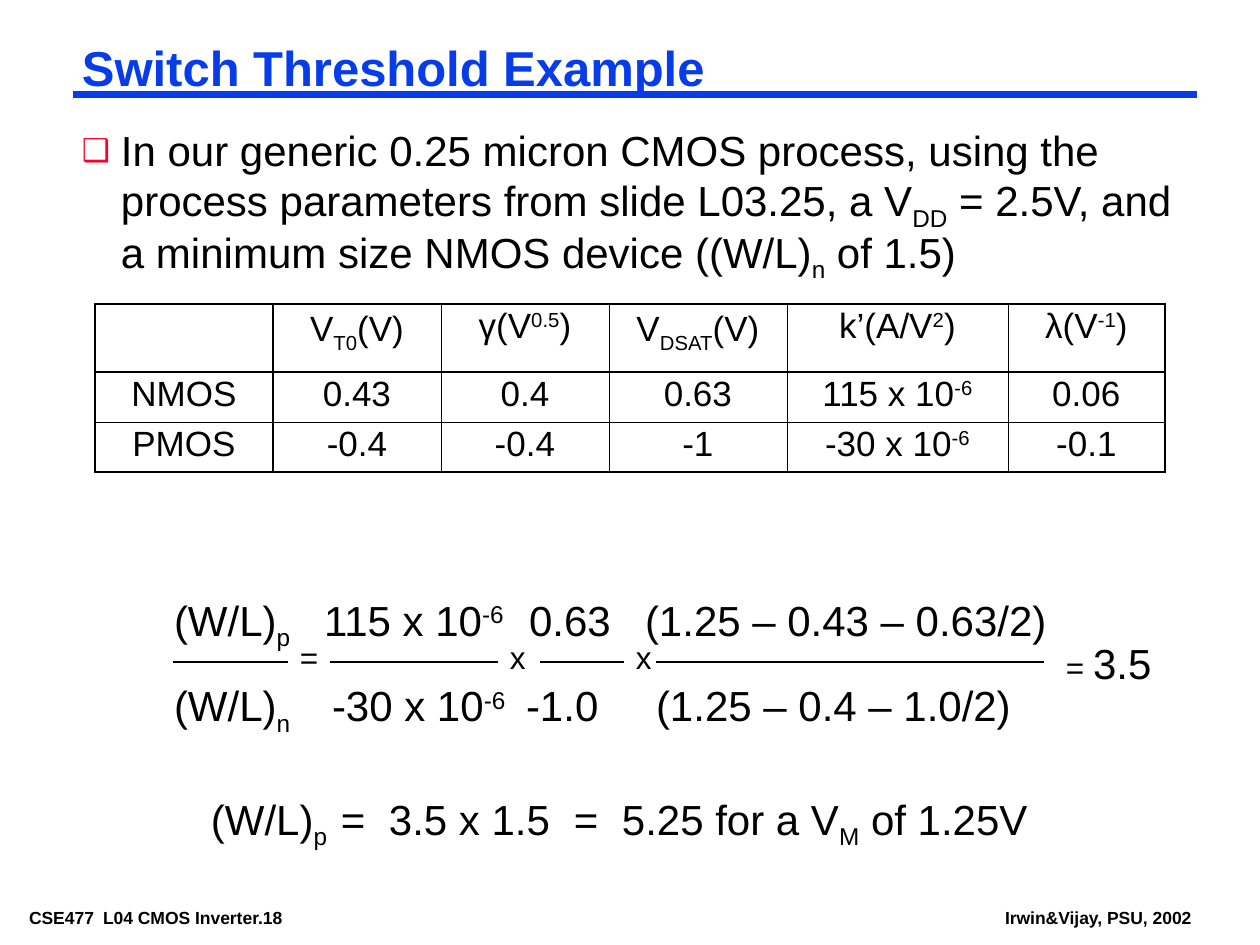
from lxml.etree import SubElement
from pptx import Presentation
from pptx.dml.color import RGBColor
from pptx.enum.shapes import MSO_CONNECTOR as LINE
from pptx.enum.text import MSO_ANCHOR as ANCHOR, MSO_AUTO_SIZE as AUTO, PP_ALIGN as ALIGN
from pptx.oxml.ns import qn
from pptx.util import Emu, Pt

FONT = "Arial"
HUE = {"ink": "000000", "blue": "063DE8", "red": "FC0128"}


def px(n):
    return Emu(round(n * 914400 / 126))


def sub(text):
    return text, -25


def sup(text):
    return text, 30


# Content: a line is a list of runs
TITLE = ["Switch Threshold Example"]
BODY = [
    "In our generic 0.25 micron CMOS process, using the process parameters from slide L03.25, a V",
    sub("DD"), " = 2.5V, and a minimum size NMOS device ((W/L)", sub("n"), " of 1.5)",
]
COLS = [178, 168, 168, 178, 221, 157]
ROWS = [68, 50, 50]
GRID = [
    [[], ["V", sub("T0"), "(V)"], ["γ(V", sup("0.5"), ")"],
     ["V", sub("DSAT"), "(V)"], ["k’(A/V", sup("2"), ")"], ["λ(V", sup("-1"), ")"]],
    [["NMOS"], ["0.43"], ["0.4"], ["0.63"], ["115 x 10", sup("-6")], ["0.06"]],
    [["PMOS"], ["-0.4"], ["-0.4"], ["-1"], ["-30 x 10", sup("-6")], ["-0.1"]],
]
RATIO = [
    (["(W/L)", sub("p"), "\t115 x 10", sup("-6"), "\t0.63\t(1.25 – 0.43 – 0.63/2)"],
     [150, 355, 471]),
    (["(W/L)", sub("n"), "\t-30 x 10", sup("-6"), "\t-1.0\t(1.25 – 0.4 – 1.0/2)"],
     [158, 352, 482]),
]
BARS = [(173, 288), (330, 498), (540, 624), (656, 1044)]
SIGNS = [(300, ["="]), (510, ["x"]), (636, ["x"]), (1066, ["= ", ("3.5", 0, 24)])]
RESULT = (["(W/L)", sub("p"), "\t=\t3.5 x 1.5\t=\t5.25 for a V", sub("M"), " of 1.25V"],
          [130, 178, 363, 411])
FOOT = [(29, 320, (["CSE477\tL04 CMOS Inverter.18"], [74])),
        (1005, 220, (["Irwin&Vijay, PSU, 2002"], []))]


def write(para, runs, size, hue="ink", bold=False):
    for item in runs:
        text, base, pts = ((item,) if isinstance(item, str) else item + (size,) * (3 - len(item))) \
            if not isinstance(item, str) else (item, 0, size)
        run = para.add_run()
        run.text = text
        font = run.font
        font.name, font.size, font.bold = FONT, Pt(pts), bold
        font.color.rgb = RGBColor.from_string(HUE[hue])
        if base:
            run._r.get_or_add_rPr().set("baseline", str(base * 1000))


def set_tabs(para, stops):
    if stops:
        tabs = SubElement(para._p.get_or_add_pPr(), qn("a:tabLst"))
        for stop in stops:
            SubElement(tabs, qn("a:tab"), pos=str(px(stop)), algn="l")


def set_bullet(para, mark, inset):
    props = para._p.get_or_add_pPr()
    props.set("marL", str(px(inset)))
    props.set("indent", str(-px(inset)))
    SubElement(SubElement(props, qn("a:buClr")), qn("a:srgbClr"), val=HUE["red"])
    SubElement(props, qn("a:buSzPct"), val="75000")
    SubElement(props, qn("a:buFont"), typeface=FONT)
    SubElement(props, qn("a:buChar"), char=mark)


def set_frame(frame, side=0, top=0):
    frame.word_wrap, frame.auto_size = True, AUTO.NONE
    frame.vertical_anchor = ANCHOR.TOP
    frame.margin_left = frame.margin_right = px(side)
    frame.margin_top = frame.margin_bottom = px(top)


def add_text(slide, box, lines, size, bold=False, pitch=None):
    frame = slide.shapes.add_textbox(*map(px, box)).text_frame
    set_frame(frame)
    for i, (runs, stops) in enumerate(lines):
        para = frame.add_paragraph() if i else frame.paragraphs[0]
        set_tabs(para, stops)
        para.line_spacing = pitch
        if i:
            para.space_before = Pt(19.5)
        write(para, runs, size, bold=bold)


def add_line(slide, left, right, y, width, hue):
    line = slide.shapes.add_connector(LINE.STRAIGHT, px(left), px(y), px(right), px(y))
    line.line.color.rgb = RGBColor.from_string(HUE[hue])
    line.line.width = Pt(width)
    SubElement(line._element.spPr, qn("a:effectLst"))


def fill_holder(shape, box, runs, size, pitch, hue="ink", bold=False, mark=None):
    shape.left, shape.top, shape.width, shape.height = map(px, box)
    set_frame(shape.text_frame, 9, 4)
    para = shape.text_frame.paragraphs[0]
    if mark:
        set_bullet(para, mark, 39)
    para.alignment, para.line_spacing, para.space_before = ALIGN.LEFT, pitch, Pt(0)
    write(para, runs, size, hue, bold)


def set_edges(cell, widths):
    props = cell._tc.get_or_add_tcPr()
    for i, (side, width) in enumerate(zip(("lnL", "lnR", "lnT", "lnB"), widths)):
        edge = props.makeelement(qn("a:" + side), {"w": str(Pt(width))})
        SubElement(SubElement(edge, qn("a:solidFill")), qn("a:srgbClr"), val=HUE["ink"])
        props.insert(i, edge)


def add_grid(slide):
    shape = slide.shapes.add_table(len(ROWS), len(COLS), px(95), px(304),
                                   px(sum(COLS)), px(sum(ROWS)))
    table = shape.table
    table.first_row = table.horz_banding = False
    for col, width in zip(table.columns, COLS):
        col.width = px(width)
    for row, height in zip(table.rows, ROWS):
        row.height = px(height)

    # Heavy rules run round the table and beside the headings
    def rule(i, count):
        return 1.08 if i in (0, 1, count) else 0.45

    for r, line in enumerate(GRID):
        for c, runs in enumerate(line):
            cell = table.cell(r, c)
            cell.fill.background()
            set_edges(cell, [rule(c, len(COLS)), rule(c + 1, len(COLS)),
                             rule(r, len(ROWS)), rule(r + 1, len(ROWS))])
            para = cell.text_frame.paragraphs[0]
            para.alignment, para.line_spacing = ALIGN.CENTER, 0.9
            write(para, runs, 20)


def main():
    deck = Presentation()
    deck.slide_width, deck.slide_height = px(1260), px(945)
    slide = deck.slides.add_slide(deck.slide_layouts[1])

    # Footer and title rule
    for left, width, line in FOOT:
        add_text(slide, (left, 907, width, 22), [line], 10, bold=True)
    add_line(slide, 73, 1197, 94.5, 4.5, "blue")

    # Title and body
    title, body = slide.placeholders
    fill_holder(title, (73, 42, 1124, 58), TITLE, 28, 0.87, "blue", True)
    fill_holder(body, (73, 126, 1124, 156), BODY, 24, 0.9, mark="❑")

    add_grid(slide)

    # Ratio equation
    add_text(slide, (174, 595, 900, 140), RATIO, 24, pitch=0.9)
    for left, right in BARS:
        add_line(slide, left, right, 662, 1.5, "ink")
    for left, runs in SIGNS:
        add_text(slide, (left, 638, 40 if len(runs) == 1 else 110, 50), [(runs, [])], 18)

    # Result
    add_text(slide, (211, 794, 860, 52), [RESULT], 24, pitch=0.9)
    deck.save("out.pptx")


if __name__ == "__main__":
    main()
